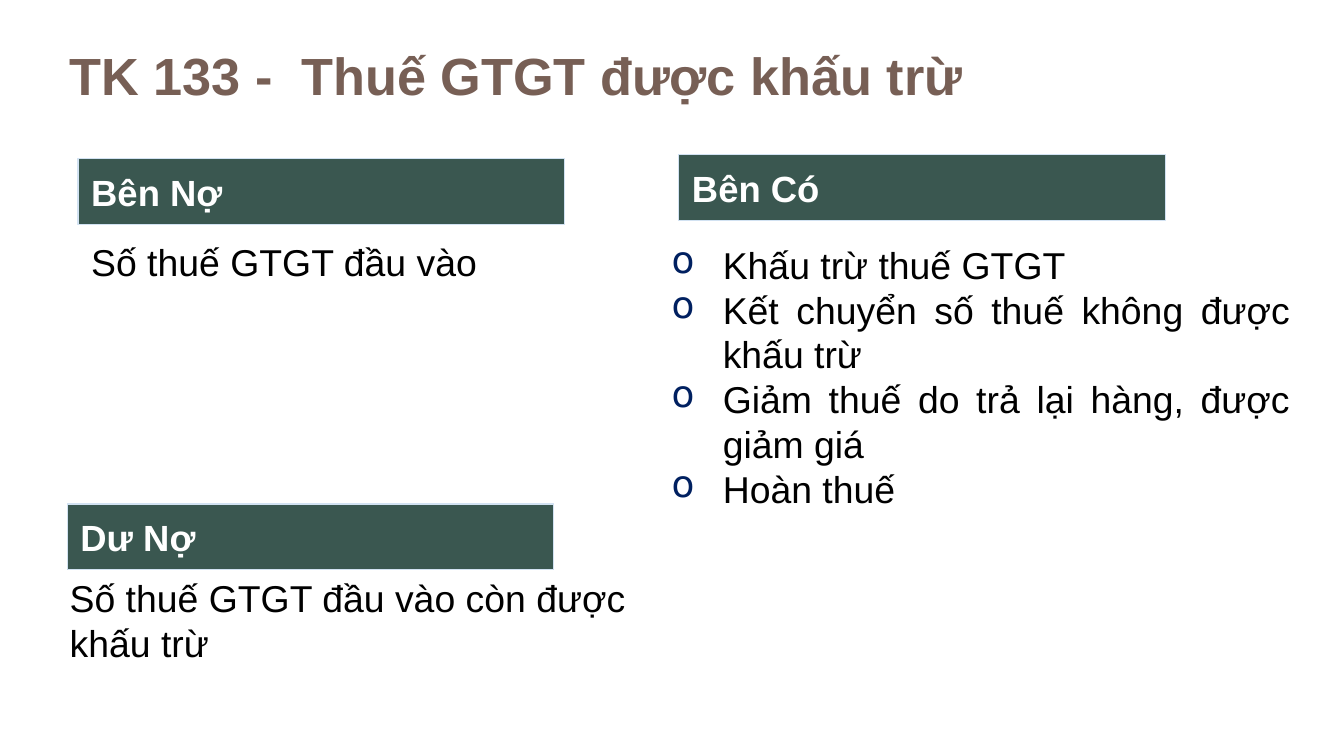
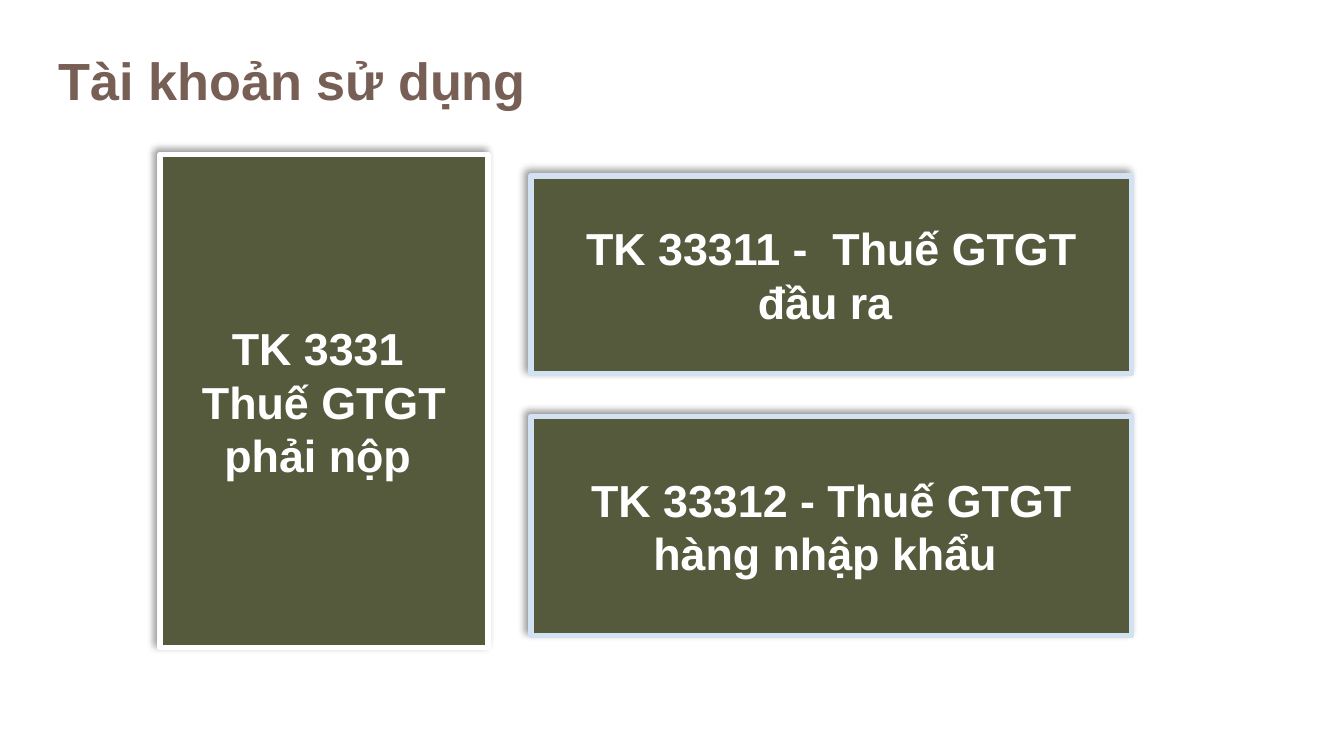
"""Builds two slides on deductible and payable value-added tax accounts."""
from lxml.etree import SubElement as Sub
from pptx import Presentation
from pptx.dml.color import RGBColor as Rgb
from pptx.enum.shapes import MSO_SHAPE as Shape
from pptx.enum.text import MSO_ANCHOR as Anchor, PP_ALIGN as Align
from pptx.oxml.ns import qn
from pptx.util import Inches, Pt

WIDE, HIGH = Inches(10), Inches(5.625)
CELL = WIDE / 100

THEME = {
    "font": "Arial",
    "navy": "002060",
    "title": {"size": 28, "color": "775F55", "bold": True},
    "body": {"size": 20, "color": "000000", "bold": False},
    "bar": {"size": 19.5, "color": "FFFFFF", "bold": True,
            "fill": "3A5750", "line": "D2E2F2", "edge": 0.75},
    "card": {"size": 24, "color": "FFFFFF", "bold": True,
             "fill": "565A3C", "line": "D2E2F2", "edge": 3, "shade": True},
}
THEME["lead"] = THEME["card"] | {"line": "FFFFFF"}

LEFT, MID, JUST = Align.LEFT, Align.CENTER, Align.JUSTIFY
BAR = (36.2, 4.9)
CARD_X, CARD_W = 39.5, 44.7

# Each part: style, (column, row, columns, rows), lines, format
SLIDES = [
    [
        ("title", (4.2, 2.7, 92.5, 5.7), ["TK 133 -  Thuế GTGT được khấu trừ"], {}),
        ("body", (5.8, 17.3, 34.5, 4.4), ["Số thuế GTGT đầu vào"], {"align": JUST}),
        ("body", (49, 17.4, 48, 21.2), [
            "Khấu trừ thuế GTGT",
            "Kết chuyển số thuế không được khấu trừ",
            "Giảm thuế do trả lại hàng, được giảm giá",
            "Hoàn thuế",
        ], {"align": JUST, "anchor": Anchor.MIDDLE, "bullet": "o"}),
        ("body", (4.2, 42.3, 45.4, 7.7),
         ["Số thuế GTGT đầu vào còn được khấu trừ"], {"anchor": Anchor.MIDDLE}),
        ("bar", (5.8, 11.8, *BAR), ["Bên Nợ"], {"anchor": Anchor.MIDDLE}),
        ("bar", (50.5, 11.5, *BAR), ["Bên Có"], {"anchor": Anchor.MIDDLE}),
        ("bar", (5, 37.5, *BAR), ["Dư Nợ"], {"anchor": Anchor.MIDDLE}),
    ],
    [
        ("card", (CARD_X, 13.1, CARD_W, 14.7), ["TK 33311 -  Thuế GTGT đầu ra "],
         {"align": MID, "anchor": Anchor.MIDDLE}),
        ("lead", (11.9, 11.5, 24.4, 36.7), ["TK 3331 ", "Thuế GTGT phải nộp "],
         {"align": MID, "anchor": Anchor.MIDDLE}),
        ("card", (CARD_X, 31, CARD_W, 16.3), ["TK 33312 - Thuế GTGT hàng nhập khẩu "],
         {"align": MID, "anchor": Anchor.MIDDLE}),
        ("title", (3.4, 3.1, 68.6, 5.7), ["Tài khoản sử dụng"], {}),
    ],
]


def shade(shape):
    """Cast a soft shadow towards the upper left."""
    fx = shape._element.spPr.find(qn("a:effectLst"))
    cast = Sub(fx, qn("a:outerShdw"), blurRad=str(Pt(4)), dist=str(Pt(3)),
               dir=str(225 * 60000), algn="br", rotWithShape="0")
    tint = Sub(cast, qn("a:srgbClr"), val="000000")
    Sub(tint, qn("a:alpha"), val="40000")


def mark(para, sign):
    """Give a paragraph a coloured hanging bullet."""
    props = para._p.get_or_add_pPr()
    props.set("marL", str(Inches(0.38)))
    props.set("indent", str(-Inches(0.38)))
    Sub(Sub(props, qn("a:buClr")), qn("a:srgbClr"), val=THEME["navy"])
    Sub(props, qn("a:buChar"), char=sign)


def write(frame, lines, style, form):
    """Fill a text frame with styled lines."""
    frame.word_wrap = True
    frame.vertical_anchor = form.get("anchor", Anchor.TOP)
    for i, line in enumerate(lines):
        para = frame.add_paragraph() if i else frame.paragraphs[0]
        para.alignment = form.get("align", LEFT)
        if "bullet" in form:
            mark(para, form["bullet"])
        run = para.add_run()
        run.text = line
        look = {"name": THEME["font"], "size": Pt(style["size"]), "bold": style["bold"]}
        for key, val in look.items():
            setattr(run.font, key, val)
        run.font.color.rgb = Rgb.from_string(style["color"])


def place(slide, name, box, lines, form):
    """Draw one part of a slide."""
    style = THEME[name]
    spot = [round(n * CELL) for n in box]
    if "fill" in style:
        shape = slide.shapes.add_shape(Shape.RECTANGLE, *spot)
        shape.shadow.inherit = False
        shape.fill.solid()
        shape.fill.fore_color.rgb = Rgb.from_string(style["fill"])
        shape.line.color.rgb = Rgb.from_string(style["line"])
        shape.line.width = Pt(style["edge"])
        if style.get("shade"):
            shade(shape)
    else:
        shape = slide.shapes.add_textbox(*spot)
    write(shape.text_frame, lines, style, form)


def main():
    """Build and save the deck."""
    deck = Presentation()
    deck.slide_width, deck.slide_height = WIDE, HIGH
    for parts in SLIDES:
        slide = deck.slides.add_slide(deck.slide_layouts[6])
        for part in parts:
            place(slide, *part)
    deck.save("out.pptx")


if __name__ == "__main__":
    main()
